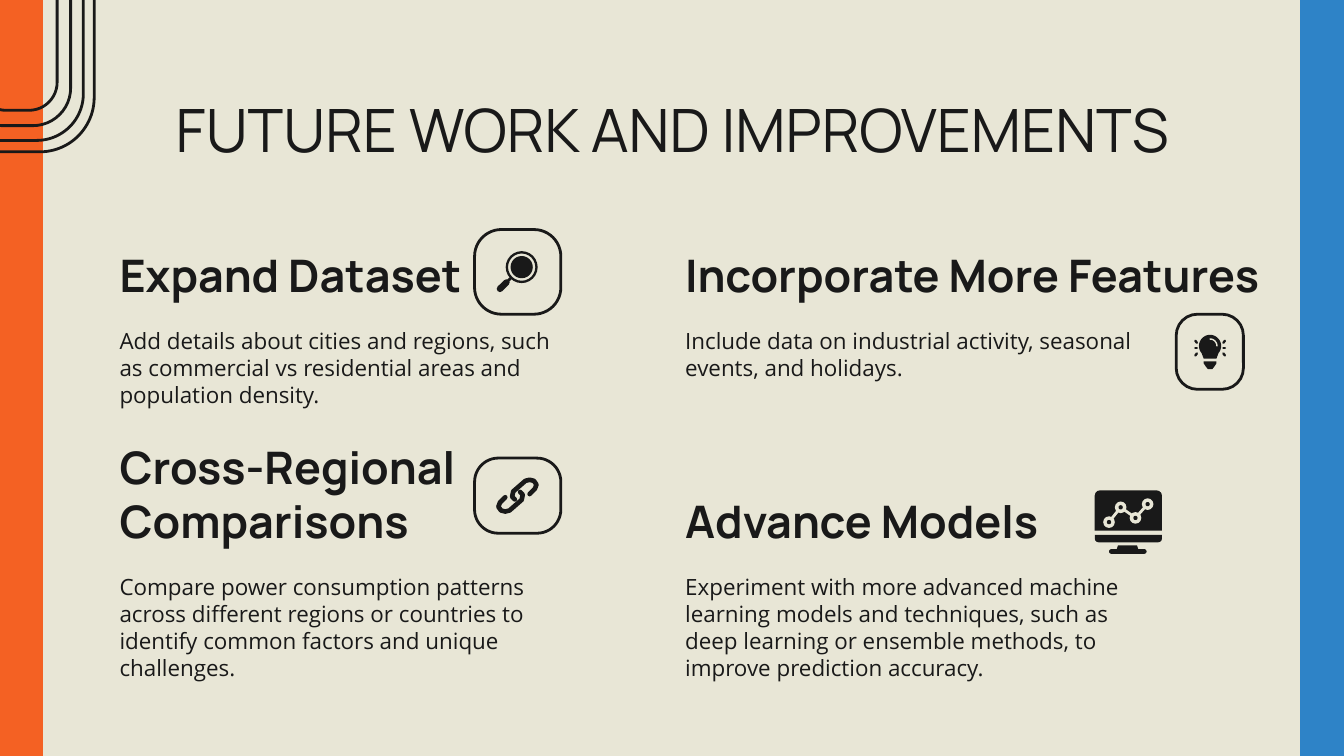
from dataclasses import dataclass
from math import cos, radians, sin

from lxml import etree
from pptx import Presentation
from pptx import util as u
from pptx.dml.color import RGBColor
from pptx.enum import shapes, text
from pptx.oxml import ns
from pptx.util import Cm

INK = RGBColor(0x19, 0x19, 0x19)
CREAM = RGBColor(0xE8, 0xE6, 0xD6)
ORANGE = RGBColor(0xF4, 0x61, 0x23)
BLUE = RGBColor(0x2E, 0x83, 0xC7)
KIND = shapes.MSO_SHAPE
Point = tuple[float, float]


@dataclass
class Topic:
    column: int
    row: int
    heading: str
    heading_width: float
    body: str
    body_width: float


@dataclass
class Frame:
    left: float
    top: float
    width: float
    height: float


TOPICS = [
    Topic(0, 0, "Expand Dataset", 7.21,
          "Add details about cities and regions, such as commercial vs "
          "residential areas and population density.", 9.17),
    Topic(1, 0, "Incorporate More Features", 11.73,
          "Include data on industrial activity, seasonal events, and holidays.", 9.17),
    Topic(0, 1, "Cross-Regional Comparisons", 6.96,
          "Compare power consumption patterns across different regions or "
          "countries to identify common factors and unique challenges.", 8.69),
    Topic(1, 1, "Advance Models", 9.17,
          "Experiment with more advanced machine learning models and techniques, "
          "such as deep learning or ensemble methods, to improve prediction accuracy.", 9.35),
]
FRAMES = [Frame(8.97, 4.34, 1.63, 1.6), Frame(8.97, 8.66, 1.63, 1.42),
          Frame(22.23, 5.94, 1.27, 1.42)]
COLUMN_LEFTS = (2.01, 12.7)
ROW_TOP, ROW_PITCH, HEADING_HEIGHT = 4.52, 4.65, 1.42


def paint(shape, fill: RGBColor | None, line: RGBColor | None = None,
          weight: float = 1.5) -> None:
    shape.shadow.inherit = False
    if fill is None:
        shape.fill.background()
    else:
        shape.fill.solid()
        shape.fill.fore_color.rgb = fill
    if line is None:
        shape.line.fill.background()
    else:
        shape.line.color.rgb = line
        shape.line.width = u.Pt(weight)


def add_preset(page, kind, frame: Frame, fill=None, line=None, weight=1.5,
               corner: float | None = None, rotation: float = 0):
    shape = page.shapes.add_shape(kind, Cm(frame.left), Cm(frame.top),
                                  Cm(frame.width), Cm(frame.height))
    if corner is not None:
        shape.adjustments[0] = corner
    shape.rotation = rotation
    paint(shape, fill, line, weight)


def add_disc(page, centre: Point, radius: float, fill=None, line=None, weight=1.5) -> None:
    x, y = centre
    add_preset(page, KIND.OVAL, Frame(x - radius, y - radius, 2 * radius, 2 * radius),
               fill, line, weight)


def add_outline(page, points: list[Point], closed: bool):
    corners = [(Cm(x), Cm(y)) for x, y in points]
    builder = page.shapes.build_freeform(*corners[0], scale=1.0)
    builder.add_line_segments(corners[1:], close=closed)
    return builder.convert_to_shape()


def add_polygon(page, points: list[Point]) -> None:
    paint(add_outline(page, points, True), INK)


def add_stroke(page, points: list[Point], color: RGBColor, weight: float) -> None:
    """Draw a round-ended line through the points."""
    if len(points) == 2:
        ends = [Cm(value) for point in points for value in point]
        shape = page.shapes.add_connector(shapes.MSO_CONNECTOR.STRAIGHT, *ends)
        shape.line.color.rgb = color
        shape.line.width = u.Pt(weight)
        etree.SubElement(shape.element.spPr, ns.qn("a:effectLst"))
    else:
        shape = add_outline(page, points, False)
        paint(shape, None, color, weight)
    shape.element.spPr.find(ns.qn("a:ln")).set("cap", "rnd")


def arc(centre: Point, radius: float, start: int, end: int) -> list[Point]:
    x, y = centre
    return [(x + radius * cos(radians(angle)), y + radius * sin(radians(angle)))
            for angle in range(start, end + 1, 10)]


def add_text(page, frame: Frame, wording: str, font: str, size: float, bold=False,
             align=text.PP_ALIGN.LEFT, anchor=text.MSO_ANCHOR.TOP, after: float = 0) -> None:
    box = page.shapes.add_textbox(Cm(frame.left), Cm(frame.top),
                                  Cm(frame.width), Cm(frame.height)).text_frame
    box.word_wrap = True
    box.vertical_anchor = anchor
    box.margin_left = box.margin_right = box.margin_top = box.margin_bottom = Cm(0.25)
    para = box.paragraphs[0]
    para.text = wording
    para.alignment = align
    para.space_after = u.Pt(after)
    para.font.name, para.font.size, para.font.bold = font, u.Pt(size), bold
    para.font.color.rgb = INK


def draw_magnifier(page) -> None:
    centre = (9.86, 5.05)
    add_disc(page, centre, 0.28, line=INK, weight=1.25)
    add_disc(page, centre, 0.21, INK)
    add_stroke(page, [(9.65, 5.26), (9.57, 5.34)], INK, 1.5)
    add_stroke(page, [(9.57, 5.34), (9.45, 5.46)], INK, 3.5)


def draw_chain(page) -> None:
    link = [(9.83, 9.3), (9.88, 9.35), (9.86, 9.45), (9.63, 9.65), (9.55, 9.67),
            (9.47, 9.65), (9.42, 9.58), (9.45, 9.5), (9.55, 9.4)]
    middle_x, middle_y = 9.78, 9.37
    add_stroke(page, link, INK, 2.5)
    add_stroke(page, [(2 * middle_x - x, 2 * middle_y - y) for x, y in link], INK, 2.5)


def draw_bulb(page) -> None:
    x, y = 22.87, 6.54
    add_polygon(page, arc((x, y), 0.21, 140, 400) + [(x + 0.12, 6.78), (x - 0.12, 6.78)])
    add_stroke(page, arc((x, y), 0.13, -90, 0), CREAM, 0.75)
    add_polygon(page, [(x - 0.12, 6.83), (x + 0.12, 6.83), (x + 0.12, 6.87),
                       (x + 0.08, 6.93), (x + 0.04, 6.98), (x - 0.04, 6.98),
                       (x - 0.08, 6.93), (x - 0.12, 6.87)])
    for side in (-1, 1):
        for outer, inner in ((6.44, 6.48), (6.58, 6.58), (6.72, 6.68)):
            add_stroke(page, [(x + side * 0.28, outer), (x + side * 0.25, inner)], INK, 1.25)


def draw_monitor(page) -> None:
    nodes = [(20.96, 9.87), (21.18, 9.59), (21.46, 9.79), (21.69, 9.53)]
    top_rounded = KIND.ROUND_2_SAME_RECTANGLE
    add_preset(page, top_rounded, Frame(20.69, 9.27, 1.27, 0.76), INK, corner=0.13)
    add_stroke(page, nodes, CREAM, 1.5)
    for node in nodes:
        add_disc(page, node, 0.11, CREAM)
        add_disc(page, node, 0.04, INK)
    add_preset(page, top_rounded, Frame(20.69, 10.11, 1.27, 0.14), INK, corner=0.5, rotation=180)
    add_polygon(page, [(21.13, 10.31), (21.49, 10.31), (21.52, 10.4), (21.1, 10.4)])
    add_preset(page, KIND.ROUNDED_RECTANGLE, Frame(20.96, 10.38, 0.71, 0.09), INK, corner=0.5)


def main() -> None:
    deck = Presentation()
    deck.slide_width, deck.slide_height = Cm(25.4), Cm(14.29)
    page = deck.slides.add_slide(deck.slide_layouts[6])
    page.background.fill.solid()
    page.background.fill.fore_color.rgb = CREAM

    # Side bars and nested pipes in the corner
    for left, color in ((0, ORANGE), (24.59, BLUE)):
        add_preset(page, KIND.RECTANGLE, Frame(left, 0, 0.81, 14.29), color, color, 0.75)
    for length, breadth in ((9.98, 2.9), (9.55, 2.49), (8.99, 2.01), (8.41, 1.5)):
        frame = Frame(0.33 - length / 2, -2.12 - breadth / 2, length, breadth)
        add_preset(page, KIND.ROUNDED_RECTANGLE, frame, line=INK, corner=0.354, rotation=90)

    # Title and topics
    add_text(page, Frame(2.01, 1.5, 21.41, 1.6), "FUTURE WORK AND IMPROVEMENTS",
             "Manrope", 32, align=text.PP_ALIGN.CENTER)
    for topic in TOPICS:
        left, top = COLUMN_LEFTS[topic.column], ROW_TOP + topic.row * ROW_PITCH
        add_text(page, Frame(left, top, topic.heading_width, HEADING_HEIGHT), topic.heading,
                 "Manrope", 24, bold=True, anchor=text.MSO_ANCHOR.BOTTOM)
        add_text(page, Frame(left, top + HEADING_HEIGHT, topic.body_width, 1.6), topic.body,
                 "Open Sans", 12, after=16)

    # Icons
    for frame in FRAMES:
        add_preset(page, KIND.ROUNDED_RECTANGLE, frame, line=INK, corner=0.316)
    for draw in (draw_magnifier, draw_chain, draw_bulb, draw_monitor):
        draw(page)

    deck.save("out.pptx")


if __name__ == "__main__":
    main()
